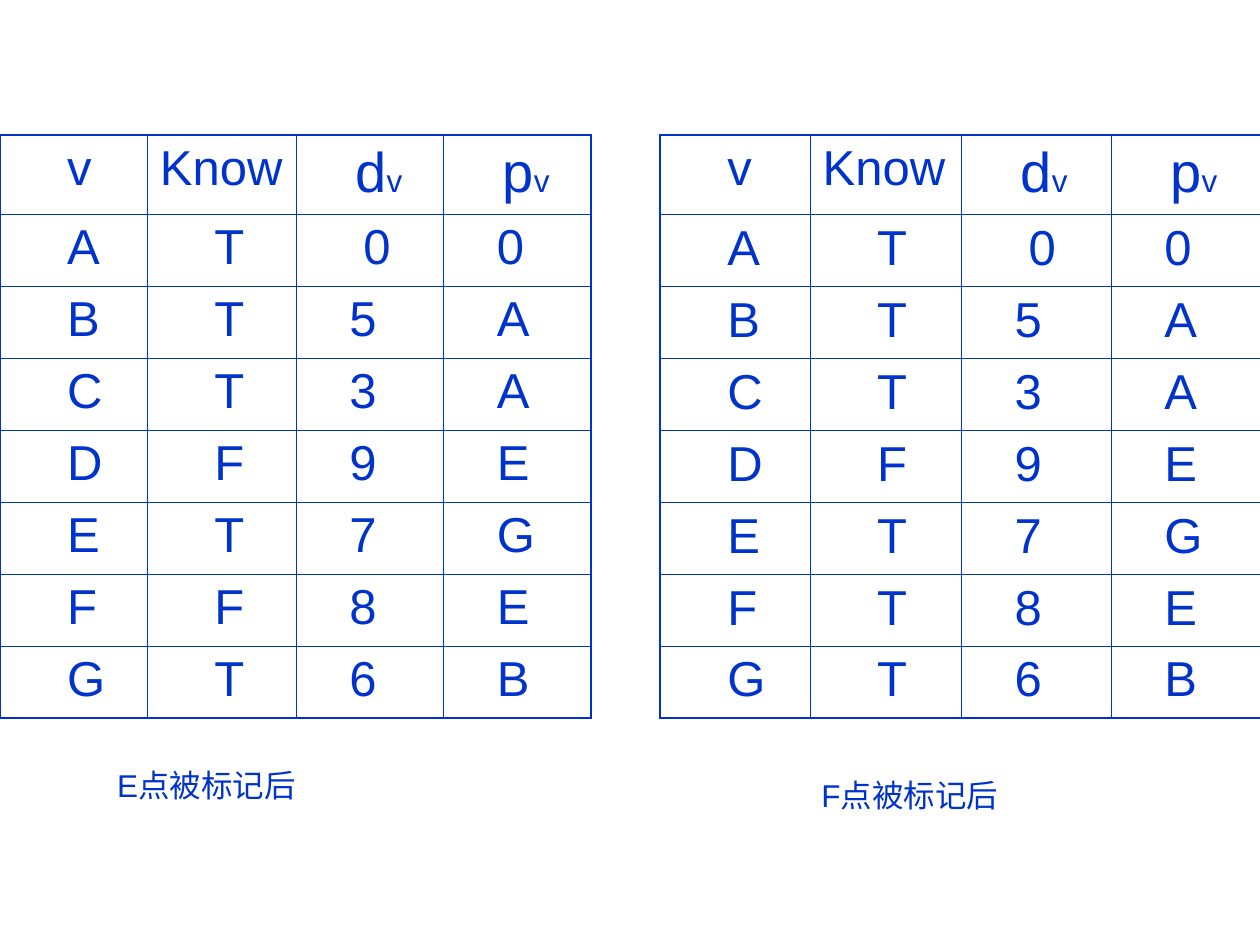
from lxml.etree import SubElement
from pptx import Presentation
from pptx.dml.color import RGBColor as Color
from pptx.enum.text import MSO_AUTO_SIZE as AutoSize
from pptx.oxml.ns import qn
from pptx.util import Cm, Pt

COLORS = {"blue": "0033CC"}
FONT = "Arial"
HEADERS = [("v", ""), ("Know", ""), ("d", "v"), ("p", "v")]
VERTICES = "ABCDEFG"
DISTANCES = "0539786"
PREDECESSORS = "0AAEGEB"
STEPS = [
    {"known": "TTTFTFT", "left": 0, "columns": (2.97, 3.0, 2.97, 2.97),
     "caption": "E点被标记后", "caption_at": (2.11, 15.32, 5.59)},
    {"known": "TTTFTTT", "left": 13.31, "columns": (3.02, 3.05, 3.02, 3.02),
     "caption": "F点被标记后", "caption_at": (16.31, 15.52, 5.99)},
]
TABLE_TOP = 2.72
HEADER_HEIGHT, ROW_HEIGHT = 1.6, 1.45
HEADER_INDENTS = (1.1, 0, 0.94, 0.94)
BODY_INDENTS = (1.1, 1.1, 0.82, 0.82)
FIRST_DISTANCE_INDENT = 1.1
INNER_LINE, OUTER_LINE = 0.45, 1.08


def style_run(run, size):
    run.font.name = FONT
    run.font.size = Pt(size)
    run.font.color.rgb = Color.from_string(COLORS["blue"])


def set_borders(cell, widths):
    properties = cell._tc.get_or_add_tcPr()
    for position, (side, width) in enumerate(widths.items()):
        line = SubElement(properties, qn(f"a:ln{side}"), w=str(Pt(width)))
        fill = SubElement(line, qn("a:solidFill"))
        SubElement(fill, qn("a:srgbClr"), val=COLORS["blue"])
        properties.insert(position, line)


def write_cell(cell, text, suffix, indent):
    paragraph = cell.text_frame.paragraphs[0]
    paragraph.text = text
    paragraph._p.get_or_add_pPr().set("marL", str(Cm(indent)))
    style_run(paragraph.runs[0], 32 if suffix else 28)
    if suffix:
        run = paragraph.add_run()
        run.text = suffix
        style_run(run, 18)


def add_step_table(slide, step):
    body = zip(VERTICES, step["known"], DISTANCES, PREDECESSORS)
    rows = [HEADERS] + [[(text, "") for text in values] for values in body]
    heights = [HEADER_HEIGHT] + [ROW_HEIGHT] * len(VERTICES)
    widths = step["columns"]
    table = slide.shapes.add_table(
        len(rows), len(widths), Cm(step["left"]), Cm(TABLE_TOP),
        Cm(sum(widths)), Cm(sum(heights))).table
    table.first_row = table.horz_banding = False
    for column, width in zip(table.columns, widths):
        column.width = Cm(width)
    for row, height in zip(table.rows, heights):
        row.height = Cm(height)
    last_row, last_column = len(rows) - 1, len(widths) - 1
    for r, values in enumerate(rows):
        indents = BODY_INDENTS if r else HEADER_INDENTS
        for c, (text, suffix) in enumerate(values):
            cell = table.cell(r, c)
            indent = FIRST_DISTANCE_INDENT if (r, c) == (1, 2) else indents[c]
            write_cell(cell, text, suffix, indent)
            cell.fill.background()
            outer = {"L": c == 0, "R": c == last_column,
                     "T": r == 0, "B": r == last_row}
            set_borders(cell, {side: OUTER_LINE if edge else INNER_LINE
                               for side, edge in outer.items()})


def add_caption(slide, step):
    left, top, width = step["caption_at"]
    box = slide.shapes.add_textbox(Cm(left), Cm(top), Cm(width), Cm(1.02))
    frame = box.text_frame
    frame.word_wrap = True
    frame.auto_size = AutoSize.SHAPE_TO_FIT_TEXT
    frame.text = step["caption"]
    style_run(frame.paragraphs[0].runs[0], 18)


def main():
    presentation = Presentation()
    presentation.slide_width, presentation.slide_height = Cm(25.4), Cm(19.05)
    slide = presentation.slides.add_slide(presentation.slide_layouts[6])
    for step in STEPS:
        add_step_table(slide, step)
        add_caption(slide, step)
    presentation.save("out.pptx")


if __name__ == "__main__":
    main()
